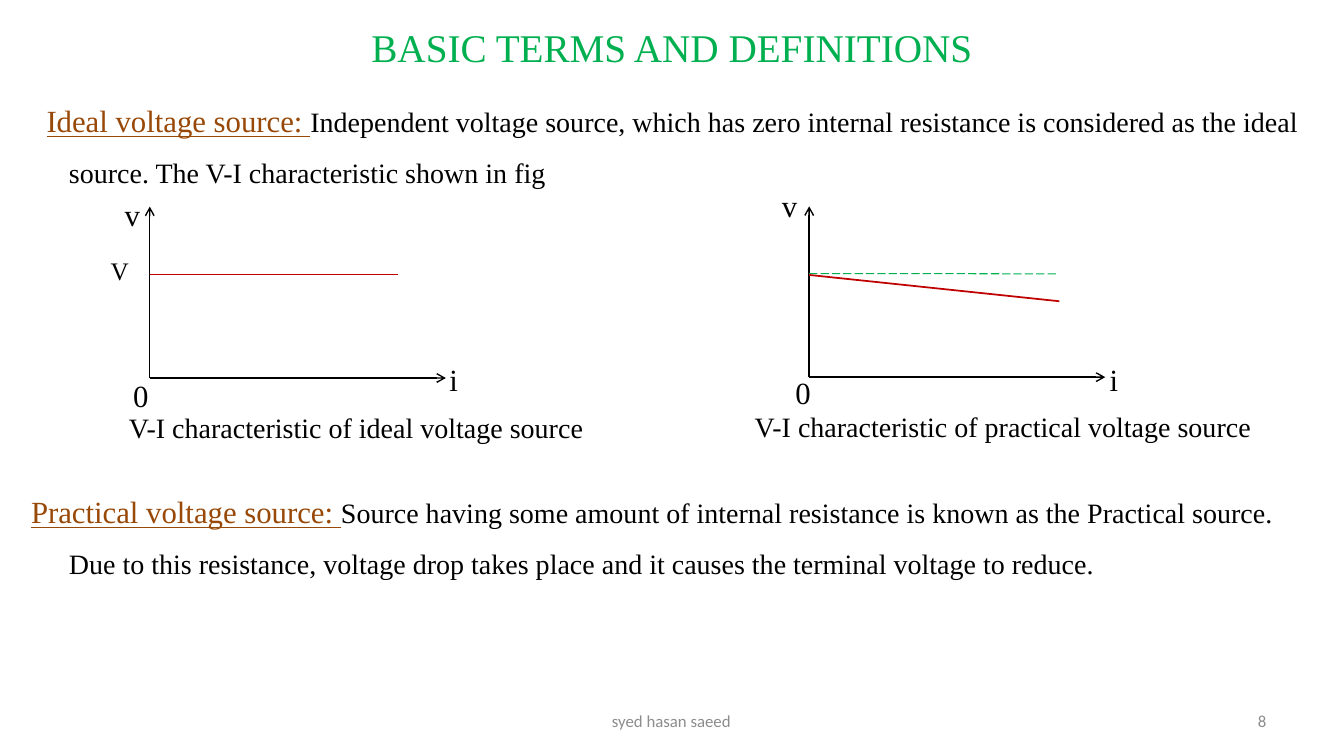
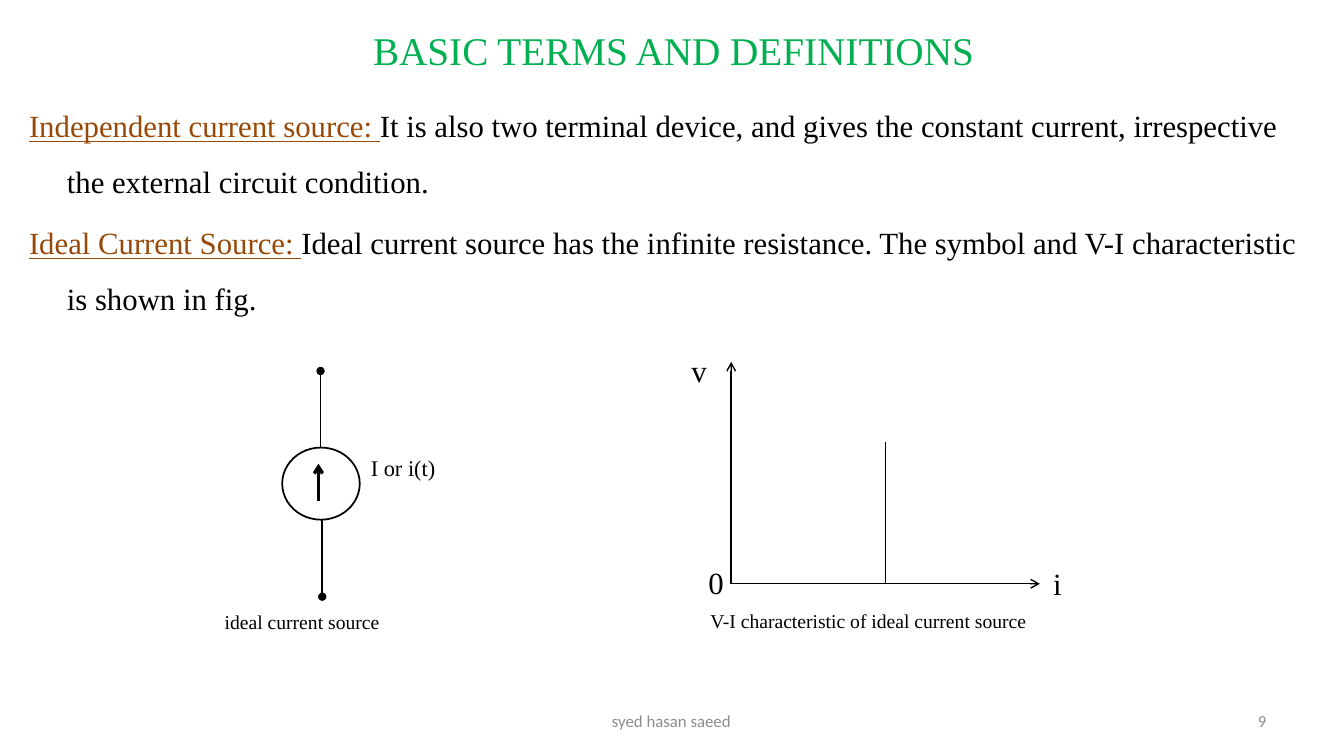
"""Builds two slides on ideal and practical voltage and current sources."""
import pptx
import pptx.util
import pptx.dml.color
import pptx.enum.dml
import pptx.enum.shapes
import pptx.enum.text
import pptx.oxml.ns
import lxml.etree

Pt = pptx.util.Pt
RGBColor = pptx.dml.color.RGBColor
Align = pptx.enum.text.PP_ALIGN
Anchor = pptx.enum.text.MSO_ANCHOR

BLACK = RGBColor(0x00, 0x00, 0x00)
GREEN = RGBColor(0x00, 0xB0, 0x50)
BROWN = RGBColor(0x98, 0x48, 0x07)
RED = RGBColor(0xC0, 0x00, 0x00)
GREY = RGBColor(0x8C, 0x8C, 0x8C)
SERIF, SANS = "Times New Roman", "Calibri"
TITLE = "BASIC TERMS AND DEFINITIONS"
FOOTER = "syed hasan saeed"
HANG = 27
TERM_SIZE = 22

SLIDES = [
    {
        "number": "8",
        "title_at": (22.3, 5.8, 915, 56),
        "body_size": 20,
        "bodies": [
            ((15.1, 56.2, 929.5, 85), -16, [
                ("Ideal voltage source: ",
                 "Independent voltage source, which has zero internal resistance is "
                 "considered as the ideal source. The V-I characteristic shown in fig")]),
            ((15.1, 335.5, 929.5, 85), -HANG, [
                ("Practical voltage source: ",
                 "Source having some amount of internal resistance is known as the "
                 "Practical source. Due to this resistance, voltage drop takes place "
                 "and it causes the terminal voltage to reduce.")]),
        ],
        "axes": [((107, 270), 211.5, 122.4), ((578, 269.4), 211.5, 122)],
        "lines": [
            {"start": (107, 196), "end": (284, 196), "color": RED, "width": 1.25},
            {"start": (578, 195.4), "end": (754.6, 195.6), "color": GREEN,
             "width": 0.75, "dashed": True},
            {"start": (578, 196.4), "end": (756.7, 215.2), "color": RED, "width": 1.25},
        ],
        "labels": [
            ("v", 82, 136, 31, 22), ("V", 72, 178.5, 31, 18),
            ("0", 88, 265.7, 31, 22), ("i", 314, 254, 31, 22),
            ("v", 551.5, 129.6, 31, 22), ("0", 561, 263.5, 31, 22),
            ("i", 785.5, 254, 31, 22),
            ("V-I characteristic of ideal voltage source", 85, 289.5, 349, 20),
            ("V-I characteristic of practical voltage source", 532, 288.7, 380, 20),
        ],
    },
    {
        "number": "9",
        "title_at": (20.2, 7.9, 921.6, 55.4),
        "body_size": 22,
        "bodies": [
            ((13.7, 59.8, 931, 175), -HANG, [
                ("Independent current source: ",
                 "It is also two terminal device, and gives the constant current, "
                 "irrespective the external circuit condition."),
                ("Ideal Current Source: ",
                 "Ideal current source has the infinite resistance. The symbol and "
                 "V-I characteristic is shown in fig.")]),
        ],
        "axes": [((522.3, 417), 220.5, 158.5)],
        "source_symbol": (201.6, 319.7, 55.4, 51.5),
        "lines": [
            {"start": (229, 319.7), "end": (229, 265), "tip": "oval", "width": 0.75},
            {"start": (230.2, 371.2), "end": (230.2, 426.2), "tip": "oval", "width": 1.25},
            {"start": (227.5, 357.8), "end": (227.5, 331.2), "tip": "arrow", "width": 2.25},
            {"start": (632.2, 315.4), "end": (632.2, 417), "width": 0.75},
        ],
        "labels": [
            ("I or i(t)", 257.8, 321.1, 72, 16),
            ("v", 486.7, 247.7, 31, 22), ("0", 499, 399, 31, 22),
            ("i", 745.2, 399.6, 31, 22),
            ("V-I characteristic of ideal current source", 500.4, 431.3, 356, 14),
            ("ideal current source", 153.4, 432, 173, 14),
        ],
    },
]


def style_font(font, size, color=BLACK, name=SERIF):
    font.size = Pt(size)
    font.name = name
    font.color.rgb = color


def add_box(page, left, top, width, height, anchor=Anchor.TOP):
    box = page.shapes.add_textbox(Pt(left), Pt(top), Pt(width), Pt(height))
    box.text_frame.word_wrap = True
    box.text_frame.vertical_anchor = anchor
    return box


def add_text(page, text, place, size, color=BLACK, name=SERIF,
             align=Align.LEFT, anchor=Anchor.TOP):
    para = add_box(page, *place, anchor).text_frame.paragraphs[0]
    para.text = text
    para.alignment = align
    style_font(para.font, size, color, name)


def add_definitions(page, place, indent, definitions, size):
    frame = add_box(page, *place).text_frame
    for index, (term, meaning) in enumerate(definitions):
        para = frame.add_paragraph() if index else frame.paragraphs[0]
        para.line_spacing = 1.5
        if index:
            para.space_before = Pt(4.4)
        properties = para._p.get_or_add_pPr()
        properties.set("marL", str(Pt(HANG)))
        properties.set("indent", str(Pt(indent)))
        for text, span_size, color in ((term, TERM_SIZE, BROWN), (meaning, size, BLACK)):
            span = para.add_run()
            span.text = text
            style_font(span.font, span_size, color)
            span.font.underline = text == term


def add_line(page, start, end, color=BLACK, width=1, tip=None, dashed=False):
    line = page.shapes.add_connector(
        pptx.enum.shapes.MSO_CONNECTOR.STRAIGHT, *map(Pt, start + end))
    line.line.color.rgb = color
    line.line.width = Pt(width)
    if dashed:
        line.line.dash_style = pptx.enum.dml.MSO_LINE.LONG_DASH
    qn = pptx.oxml.ns.qn
    if tip:
        lxml.etree.SubElement(line.line._get_or_add_ln(), qn("a:tailEnd"), type=tip)
    lxml.etree.SubElement(line._element.spPr, qn("a:effectLst"))


def add_axes(page, origin, width, height):
    left, bottom = origin
    for end in ((left + width, bottom), (left, bottom - height)):
        add_line(page, origin, end, tip="arrow")


def add_source_symbol(page, place):
    circle = page.shapes.add_shape(
        pptx.enum.shapes.MSO_SHAPE.OVAL, *map(Pt, place))
    circle.shadow.inherit = False
    circle.fill.background()
    circle.line.color.rgb = BLACK
    circle.line.width = Pt(1.25)


def add_frame(page, number, title_at):
    add_text(page, TITLE, title_at, 28, GREEN, align=Align.CENTER, anchor=Anchor.MIDDLE)
    for text, left, width, align in ((FOOTER, 327.6, 304, Align.CENTER),
                                     (number, 687.6, 224, Align.RIGHT)):
        add_text(page, text, (left, 500.4, width, 28.8), 12, GREY, SANS,
                 align, Anchor.MIDDLE)


def main():
    deck = pptx.Presentation()
    deck.slide_width, deck.slide_height = Pt(960), Pt(540)
    for content in SLIDES:
        page = deck.slides.add_slide(deck.slide_layouts[6])
        add_frame(page, content["number"], content["title_at"])
        for place, indent, definitions in content["bodies"]:
            add_definitions(page, place, indent, definitions, content["body_size"])
        for axes in content["axes"]:
            add_axes(page, *axes)
        if "source_symbol" in content:
            add_source_symbol(page, content["source_symbol"])
        for line in content["lines"]:
            add_line(page, **line)
        for text, left, top, width, size in content["labels"]:
            add_text(page, text, (left, top, width, size * 1.2 + 7.2), size)
    deck.save("out.pptx")


if __name__ == "__main__":
    main()
